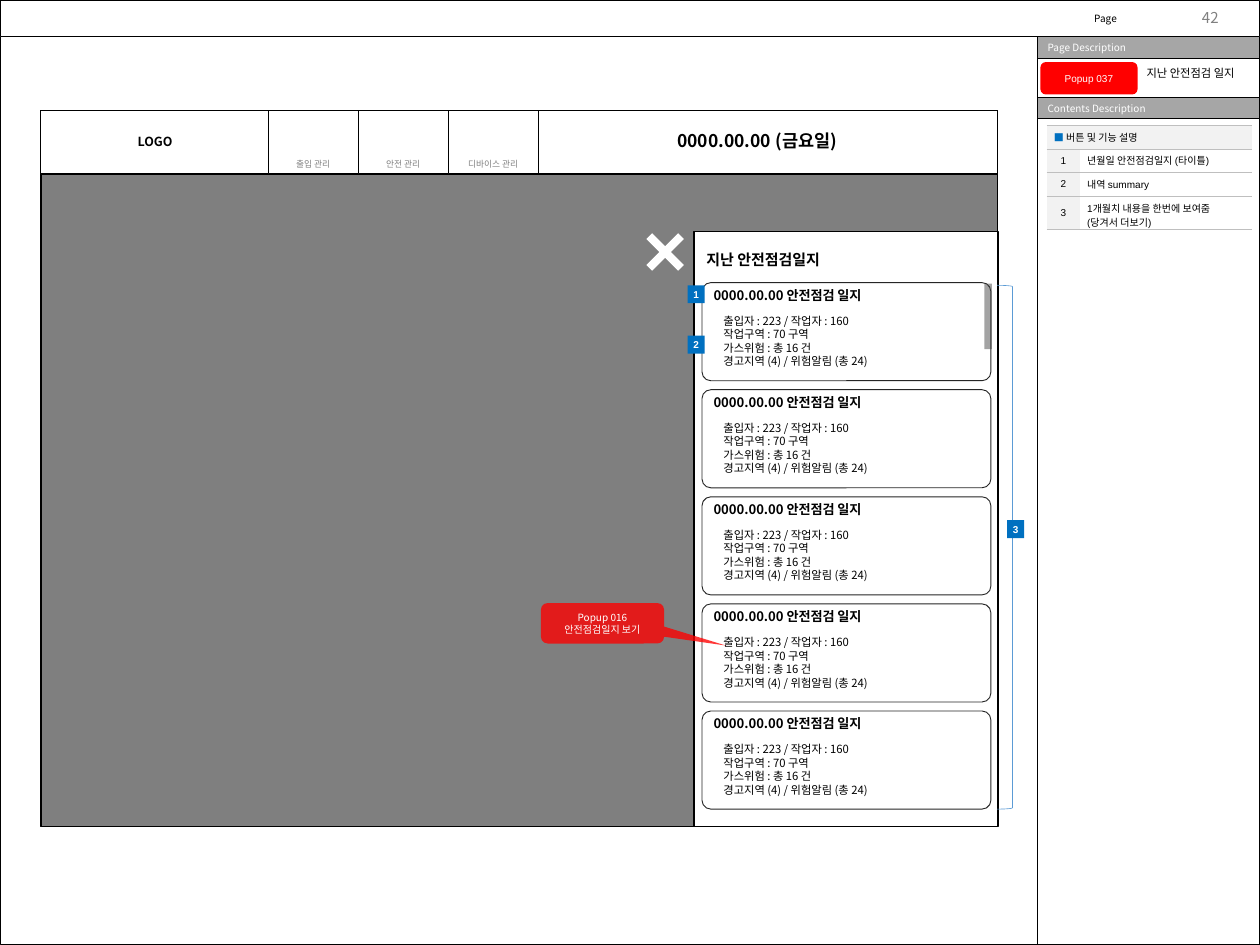
from dataclasses import dataclass

from pptx import Presentation
from pptx.dml.color import RGBColor
from pptx.enum.shapes import MSO_CONNECTOR, MSO_SHAPE
from pptx.enum.text import MSO_ANCHOR, MSO_AUTO_SIZE, PP_ALIGN
from pptx.oxml.ns import qn
from pptx.oxml.xmlchemy import OxmlElement
from pptx.util import Inches, Pt

RECT, ROUND = MSO_SHAPE.RECTANGLE, MSO_SHAPE.ROUNDED_RECTANGLE
CROSS, BRACKET = MSO_SHAPE.CROSS, MSO_SHAPE.RIGHT_BRACKET
CALLOUT = MSO_SHAPE.ROUNDED_RECTANGULAR_CALLOUT
STRAIGHT = MSO_CONNECTOR.STRAIGHT
LEFT, CENTER, RIGHT = PP_ALIGN.LEFT, PP_ALIGN.CENTER, PP_ALIGN.RIGHT
TOP, MIDDLE, BOTTOM = MSO_ANCHOR.TOP, MSO_ANCHOR.MIDDLE, MSO_ANCHOR.BOTTOM


@dataclass(frozen=True)
class Theme:
    black: str = "000000"
    white: str = "FFFFFF"
    band: str = "A6A6A6"
    mute: str = "808080"
    card: str = "262626"
    bar: str = "404040"
    pale: str = "F2F2F2"
    rule: str = "BFBFBF"
    blue: str = "0070C0"
    sky: str = "5B9BD5"
    red: str = "FF0000"
    sans: str = "Arial"
    noto: str = "Noto Sans CJK KR"
    tab: float = 7
    small: float = 8
    body: float = 9
    logo: float = 10
    head: float = 10.5
    large: float = 12
    date: float = 14


T = Theme()
TABS = ["출입 관리", "안전 관리", "디바이스 관리"]
CARD = "0000.00.00 안전점검 일지"
FACTS = "\n".join([
    "출입자 : 223 / 작업자 : 160",
    "작업구역 : 70 구역",
    "가스위험 : 총 16 건",
    "경고지역 (4) / 위험알림 (총 24)",
])
NOTES = [
    "년월일 안전점검일지 (타이틀)",
    "내역 summary",
    "1개월치 내용을 한번에 보여줌\n(당겨서 더보기)",
]


def rgb(code):
    return RGBColor.from_string(code)


def style(run, size, color, bold=False, face=T.noto):
    font = run.font
    font.size, font.bold, font.name = Pt(size), bold, face
    font.color.rgb = rgb(color)
    east = OxmlElement("a:ea")
    east.set("typeface", T.noto)
    run._r.get_or_add_rPr().find(qn("a:latin")).addnext(east)


def write(shape, text, size, color=T.black, bold=False, face=T.noto,
          align=LEFT, anchor=TOP, pad=(0.1, 0.05), wrap=True):
    frame = shape.text_frame
    frame.text = text
    frame.word_wrap, frame.auto_size = wrap, MSO_AUTO_SIZE.NONE
    frame.vertical_anchor = anchor
    frame.margin_left = frame.margin_right = Inches(pad[0])
    frame.margin_top = frame.margin_bottom = Inches(pad[1])
    for para in frame.paragraphs:
        para.alignment, para.line_spacing = align, Pt(size * 1.2)
        for run in para.runs:
            style(run, size, color, bold, face)


def label(shapes, box, text, size, **look):
    item = shapes.add_textbox(*map(Inches, box))
    write(item, text, size, **look)


def block(shapes, box, fill=None, line=None, width=0.75, kind=RECT, adj=()):
    item = shapes.add_shape(kind, *map(Inches, box))
    item.shadow.inherit = False
    for i, value in enumerate(adj):
        item.adjustments[i] = value
    if fill:
        item.fill.solid()
        item.fill.fore_color.rgb = rgb(fill)
    else:
        item.fill.background()
    if line:
        item.line.color.rgb = rgb(line)
        item.line.width = Pt(width)
    else:
        item.line.fill.background()
    return item


def fade(shape, percent):
    """Make the first colour of the shape partly opaque."""
    alpha = OxmlElement("a:alpha")
    alpha.set("val", str(percent * 1000))
    next(shape.element.spPr.iter(qn("a:srgbClr"))).append(alpha)


def badge(shapes, left, top, text):
    item = block(shapes, (left, top, 0.19, 0.2), T.blue)
    write(item, text, T.small, T.white, True, T.sans, CENTER, MIDDLE, (0, 0))


def card(shapes, top):
    group = shapes.add_group_shape().shapes
    block(group, (7.8, top, 3.21, 1.09), T.white, T.card, kind=ROUND, adj=[0.09])
    label(group, (7.83, top, 3.19, 0.28), CARD, T.head, bold=True)
    label(group, (7.94, top + 0.3, 2.83, 0.71), FACTS, T.body)


def scroll(shapes):
    bar = shapes.add_connector(
        STRAIGHT, Inches(10.98), Inches(3.15), Inches(10.98), Inches(3.88))
    bar.line.color.rgb, bar.line.width = rgb(T.bar), Pt(6)
    bar.element.spPr.append(OxmlElement("a:effectLst"))
    fade(bar, 48)


def edge(cell):
    """Rule a cell above and below only."""
    props = cell._tc.get_or_add_tcPr()
    for i, side in enumerate("LRTB"):
        line = OxmlElement("a:ln" + side)
        if side in "TB":
            line.set("w", str(Pt(0.25)))
            fill = OxmlElement("a:solidFill")
            color = OxmlElement("a:srgbClr")
            color.set("val", T.rule)
            fill.append(color)
        else:
            fill = OxmlElement("a:noFill")
        line.append(fill)
        props.insert(i, line)


def notes(shapes):
    box = map(Inches, (11.63, 1.39, 2.28, 1.14))
    table = shapes.add_table(4, 2, *box).table
    for col, width in zip(table.columns, (0.37, 1.91)):
        col.width = Inches(width)
    for row, high in zip(table.rows, (0.26, 0.26, 0.26, 0.36)):
        row.height = Inches(high)
    table.cell(0, 0).merge(table.cell(0, 1))
    table.cell(0, 0).text = "■ "
    table.cell(0, 0).text_frame.paragraphs[0].add_run().text = "버튼 및 기능 설명"
    for i, text in enumerate(NOTES, 1):
        table.cell(i, 0).text, table.cell(i, 1).text = str(i), text
    for r in range(4):
        for c in range(2):
            cell = table.cell(r, c)
            if c == 0 or r == 0:
                cell.fill.solid()
                cell.fill.fore_color.rgb = rgb(T.pale)
            else:
                cell.fill.background()
            edge(cell)
            cell.vertical_anchor = MIDDLE
            cell.margin_left = cell.margin_right = Inches(0.08)
            cell.margin_top = Inches(0.05)
            cell.margin_bottom = Inches(0 if (r, c) == (3, 1) else 0.05)
            for para in cell.text_frame.paragraphs:
                para.alignment = CENTER if r and c == 0 else LEFT
                for run in para.runs:
                    color = T.blue if "■" in run.text else T.black
                    style(run, T.small, color, face=T.sans)


def frame(shapes):
    block(shapes, (11.53, 0, 2.47, 10.5), T.white, T.black)
    block(shapes, (0, 0, 14, 10.5), line=T.black)
    for top, text in ((0.41, "Page Description"), (1.08, "Contents Description")):
        band = block(shapes, (11.53, top, 2.47, 0.24), T.band, T.black)
        write(band, text, T.small, T.white, anchor=MIDDLE, pad=(0.11, 0.05))
    block(shapes, (0, 0, 14, 0.41), T.white, T.black)
    label(shapes, (12.97, 0.03, 0.69, 0.26), "42", T.large, color=T.mute,
          align=RIGHT, pad=(0.12, 0.06))
    label(shapes, (12.06, 0.09, 1.31, 0.24), "Page", T.small)


def screen(shapes):
    for high in (7.95, 0.7):
        block(shapes, (0.45, 1.23, 10.63, high), T.white, T.black, 1)
    for i, text in enumerate(TABS):
        tab = block(shapes, (2.98 + i, 1.23, 1, 0.7), T.white, T.black, 1)
        write(tab, text, T.tab, T.mute, face=T.sans, align=CENTER, anchor=BOTTOM)
    label(shapes, (7.39, 1.39, 2.01, 0.34), "0000.00.00 (금요일)", T.date,
          bold=True, align=RIGHT)
    label(shapes, (1.43, 1.44, 0.59, 0.27), "LOGO", T.logo, bold=True,
          anchor=MIDDLE, wrap=False)
    fade(block(shapes, (0.46, 1.94, 10.62, 7.24), T.black, T.black), 50)


def panel(shapes):
    cross = block(shapes, (7.14, 2.55, 0.5, 0.5), T.white, kind=CROSS, adj=[0.41])
    cross.rotation = 45
    block(shapes, (7.71, 2.57, 3.38, 6.61), T.white, T.black, 1)
    label(shapes, (7.75, 2.73, 1.61, 0.3), "지난 안전점검일지", T.large,
          bold=True, face=T.sans)
    for i in range(5):
        card(shapes, 3.14 + 1.19 * i)
    scroll(shapes)
    popup = block(shapes, (6.01, 6.7, 1.37, 0.45), T.red, kind=CALLOUT,
                  adj=[1, 0.55, 0.17])
    fade(popup, 78)
    write(popup, "Popup 016\n안전점검일지 보기", T.small, T.white,
          align=CENTER, anchor=MIDDLE, pad=(0, 0))
    block(shapes, (11.08, 3.17, 0.17, 5.82), line=T.sky, width=0.5, kind=BRACKET)
    for i, (left, top) in enumerate(((7.64, 3.17), (7.64, 3.73), (11.19, 5.78)), 1):
        badge(shapes, left, top, str(i))


def heading(shapes):
    tag = block(shapes, (11.56, 0.69, 1.08, 0.36), T.red, kind=ROUND)
    write(tag, "Popup 037", T.small, T.white, face=T.sans, align=CENTER,
          anchor=MIDDLE, pad=(0, 0))
    title = shapes.title
    title.left, title.top, title.width, title.height = map(
        Inches, (12.64, 0.69, 1.3, 0.25))
    write(title, "지난 안전점검 일지", T.body, face=T.sans)
    title.element.getparent().append(title.element)


def main():
    deck = Presentation()
    deck.slide_width, deck.slide_height = Inches(14), Inches(10.5)
    shapes = deck.slides.add_slide(deck.slide_layouts[5]).shapes
    for draw in (frame, screen, panel, notes, heading):
        draw(shapes)
    deck.save("out.pptx")


if __name__ == "__main__":
    main()
